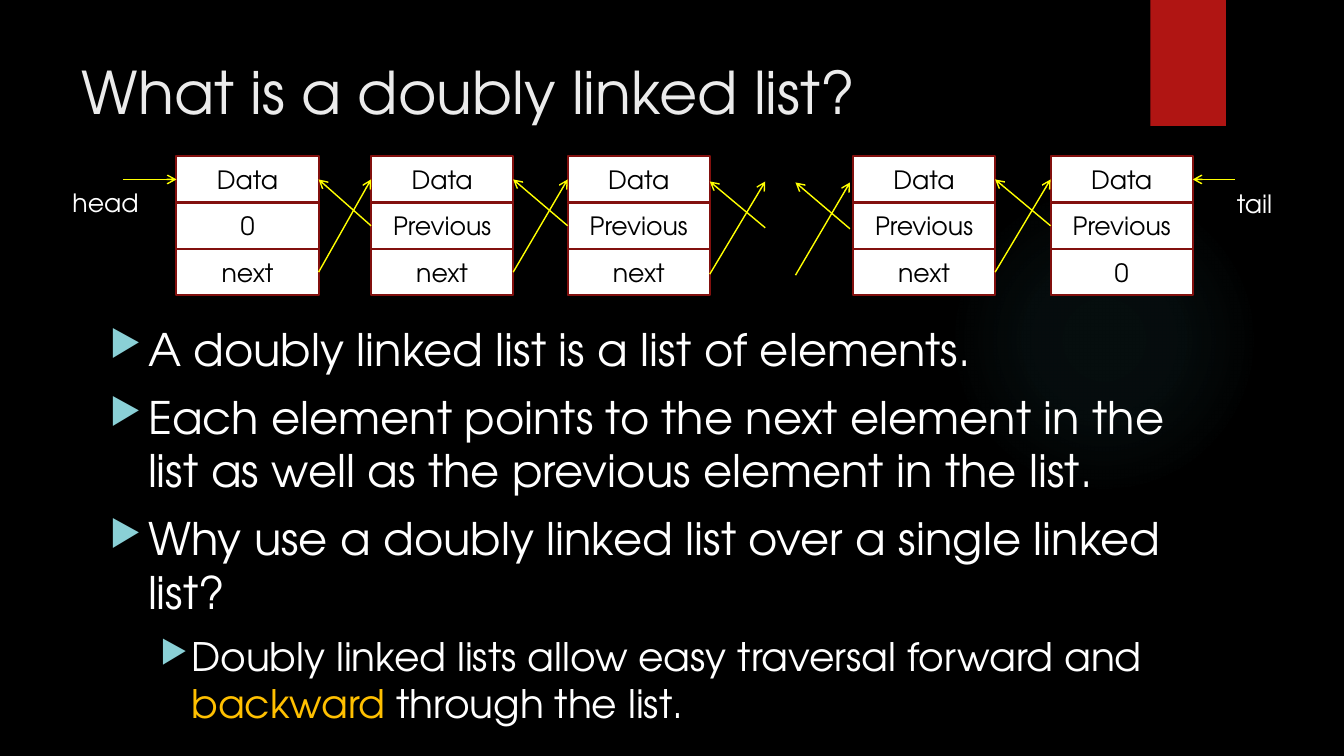
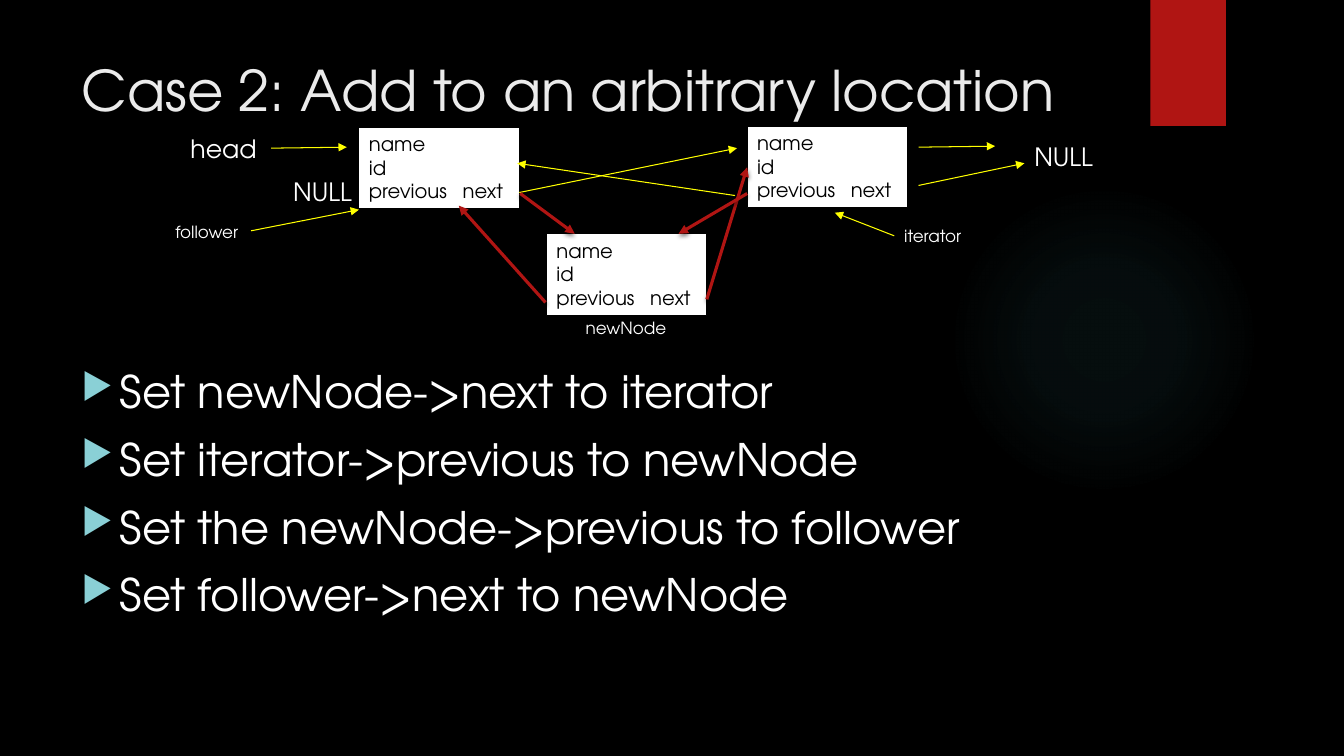
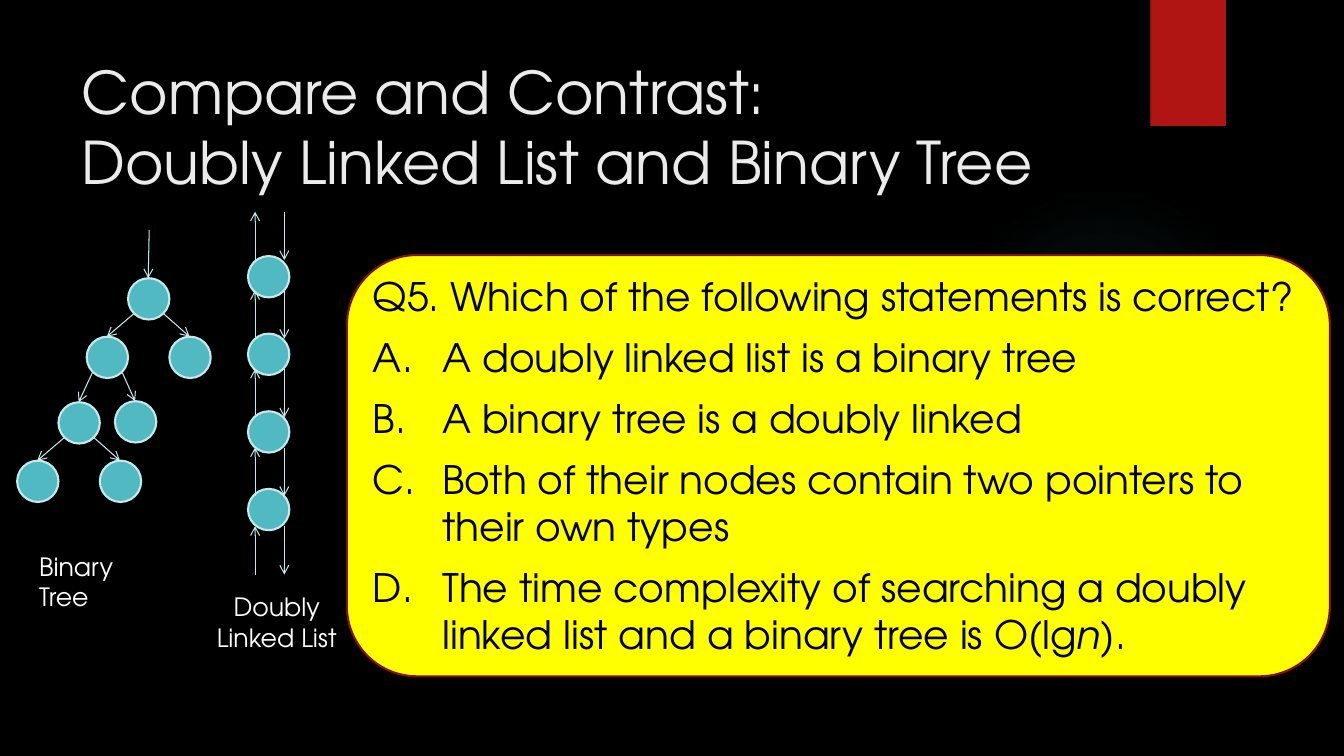
from dataclasses import dataclass

import pptx
import pptx.dml.color
import pptx.enum.dml
import pptx.enum.shapes
import pptx.enum.text
import pptx.oxml
import pptx.oxml.ns
import pptx.util
from lxml import etree

Inches = pptx.util.Inches
Pt = pptx.util.Pt
SHAPE = pptx.enum.shapes.MSO_SHAPE
ALIGN = pptx.enum.text.PP_ALIGN
ANCHOR = pptx.enum.text.MSO_ANCHOR
qn = pptx.oxml.ns.qn


@dataclass(frozen=True)
class Theme:
    font: str = "TeX Gyre Adventor"
    black: str = "000000"
    white: str = "FFFFFF"
    title: str = "EBEBEB"
    red: str = "B01513"
    dark_red: str = "82100E"
    yellow: str = "FFFF00"
    gold: str = "FFC000"
    teal: str = "50B9C1"
    pale_teal: str = "C5E8EA"
    bullet: str = "8AD0D6"
    title_size: int = 42
    long_title_size: int = 40
    body_size: int = 32
    sub_size: int = 28
    label_size: int = 18
    node_size: int = 14
    caption_size: int = 12


THEME = Theme()


def rgb(value):
    return pptx.dml.color.RGBColor.from_string(value)


def set_font(font, size, color):
    font.name = THEME.font
    font.size = Pt(size)
    font.color.rgb = rgb(color)


def child(parent, tag, **attributes):
    return etree.SubElement(parent, qn(tag), attributes)


def add_box(slide, kind, left, top, width, height, fill, line=None, line_width=1.5):
    box = slide.shapes.add_shape(kind, Inches(left), Inches(top), Inches(width), Inches(height))
    box.shadow.inherit = False
    box.fill.solid()
    box.fill.fore_color.rgb = rgb(fill)
    if line:
        box.line.color.rgb = rgb(line)
        box.line.width = Pt(line_width)
    else:
        box.line.fill.background()
    return box


def add_text(slide, left, top, width, height):
    frame = slide.shapes.add_textbox(
        Inches(left), Inches(top), Inches(width), Inches(height)).text_frame
    frame.word_wrap = True
    return frame


def add_label(slide, text, left, top, width, size=THEME.label_size, align=ALIGN.LEFT):
    frame = add_text(slide, left, top, width, 0.4)
    frame.text = text
    frame.paragraphs[0].alignment = align
    set_font(frame.paragraphs[0].font, size, THEME.white)


def add_arrow(slide, start, end, color, width=0.75, head="triangle", shadow=False):
    arrow = slide.shapes.add_connector(
        pptx.enum.shapes.MSO_CONNECTOR.STRAIGHT, *map(Inches, start + end))
    arrow.line.color.rgb = rgb(color)
    arrow.line.width = Pt(width)
    child(arrow.line._get_or_add_ln(), "a:tailEnd", type=head)
    effects = child(arrow._element.spPr, "a:effectLst")
    if shadow:
        outer = child(effects, "a:outerShdw", blurRad=str(Pt(3)), dist=str(Pt(2)),
                      dir="5400000", rotWithShape="0")
        child(child(outer, "a:srgbClr", val=THEME.black), "a:alpha", val="45000")


def add_glow(slide):
    glow = add_box(slide, SHAPE.OVAL, 9.41, 1.83, 3.08, 3.08, THEME.teal)
    gradient = etree.Element(qn("a:gradFill"), rotWithShape="1")
    stops = child(gradient, "a:gsLst")
    for position, opacity in ((0, 7), (36, 6), (69, 0), (100, 0)):
        stop = child(stops, "a:gs", pos=str(position * 1000))
        color = child(stop, "a:srgbClr", val=THEME.teal)
        child(color, "a:alpha", val=str(opacity * 1000))
    circle = child(gradient, "a:path", path="circle")
    child(circle, "a:fillToRect", l="50000", t="50000", r="50000", b="50000")
    properties = glow._element.spPr
    properties.replace(properties.find(qn("a:solidFill")), gradient)


def add_slide(prs, title, size=THEME.title_size):
    """Add a slide with the shared glow, red band and title."""
    slide = prs.slides.add_slide(prs.slide_layouts[5])
    add_glow(slide)
    add_box(slide, SHAPE.RECTANGLE, 11.41, 0, 0.75, 1.25, THEME.red)
    heading = slide.shapes.title
    heading.left, heading.top = Inches(0.71), Inches(0.5)
    heading.width, heading.height = Inches(10.29), Inches(1.16)
    frame = heading.text_frame
    frame.text = title
    frame.vertical_anchor = ANCHOR.TOP
    frame.auto_size = pptx.enum.text.MSO_AUTO_SIZE.NONE
    frame.paragraphs[0].alignment = ALIGN.LEFT
    set_font(frame.paragraphs[0].font, size, THEME.title)
    return slide


def set_indent(paragraph, indent, hanging):
    properties = paragraph._p.get_or_add_pPr()
    properties.set("marL", str(Inches(indent)))
    properties.set("indent", str(-Inches(hanging)))
    return properties


def add_item(frame, text, size, color=THEME.white):
    """Append a paragraph, using the empty first one when it is free."""
    paragraph = frame.paragraphs[0]
    if paragraph.runs:
        paragraph = frame.add_paragraph()
    paragraph.add_run().text = text
    paragraph.space_before = Pt(10)
    set_font(paragraph.font, size, color)
    return paragraph


def insert_marks(properties, *marks):
    """Put bullet elements just before the paragraph's default font."""
    font = properties.find(qn("a:defRPr"))
    for tag, attributes in marks:
        font.addprevious(etree.Element(qn(tag), attributes))


def add_bullet(frame, text, level=0):
    size = (THEME.body_size, THEME.sub_size)[level]
    indent, hanging = ((0.38, 0.38), (0.81, 0.31))[level]
    paragraph = add_item(frame, text, size)
    paragraph.level = level
    properties = set_indent(paragraph, indent, hanging)
    insert_marks(properties, ("a:buClr", {}), ("a:buSzPct", {"val": "80000"}),
                 ("a:buChar", {"char": "▶"}))
    child(properties.find(qn("a:buClr")), "a:srgbClr", val=THEME.bullet)
    return paragraph


def add_answer(frame, text):
    paragraph = add_item(frame, text, THEME.sub_size, THEME.black)
    insert_marks(set_indent(paragraph, 0.69, 0.69),
                 ("a:buFont", {"typeface": "+mj-lt"}),
                 ("a:buAutoNum", {"type": "alphaUcPeriod"}))
    return paragraph


def add_chain(slide):
    """Draw the list nodes with their crossing next and previous arrows."""
    top, width, row = 1.55, 1.41, 0.46
    data_y, previous_y, next_y = (top + row * (i + 0.5) for i in range(3))
    lefts = (1.75, 3.68, 5.63, 8.46, 10.42)
    last = len(lefts) - 1
    for i, left in enumerate(lefts):
        fields = ("Data", "Previous" if i else "0", "next" if i < last else "0")
        for j, field in enumerate(fields):
            cell = add_box(slide, SHAPE.RECTANGLE, left, top + j * row, width, row,
                           THEME.white, THEME.dark_red)
            cell.text_frame.text = field
            cell.text_frame.vertical_anchor = ANCHOR.MIDDLE
            cell.text_frame.paragraphs[0].alignment = ALIGN.CENTER
            set_font(cell.text_frame.paragraphs[0].font, THEME.label_size, THEME.black)

    gaps = [(a + width, b, 0) for a, b in zip(lefts, lefts[1:])]
    break_start, break_end, _ = gaps[2]
    gaps[2:3] = [(break_start, break_start + 0.55, 0.02),
                 (break_end - 0.57, break_end - 0.03, 0.03)]
    arrows = [((1.22, data_y), (lefts[0], data_y)),
              ((12.25, data_y), (lefts[-1] + width, data_y))]
    for left, right, drop in gaps:
        arrows.append(((left, next_y + drop), (right, data_y + drop)))
        arrows.append(((right, previous_y + drop), (left, data_y + drop)))
    for start, end in arrows:
        add_arrow(slide, start, end, THEME.yellow, 1, "arrow")
    add_label(slide, "head", 0.62, 1.81, 1)
    add_label(slide, "tail", 12.17, 1.82, 0.8)


def add_record(slide, left, top):
    """Draw a node that lists its name, id and two pointers."""
    record = add_box(slide, SHAPE.RECTANGLE, left, top, 1.59, 0.81,
                     THEME.white, THEME.black, 0.75)
    frame = record.text_frame
    frame.vertical_anchor = ANCHOR.TOP
    frame.text = "name\nid\nprevious\tnext"
    for paragraph in frame.paragraphs:
        paragraph.alignment = ALIGN.LEFT
        tabs = child(paragraph._p.get_or_add_pPr(), "a:tabLst")
        child(tabs, "a:tab", pos=str(Inches(0.93)), algn="l")
        set_font(paragraph.font, THEME.node_size, THEME.black)


def add_circles(slide, positions):
    for left, top in positions:
        add_box(slide, SHAPE.OVAL, left, top, 0.41, 0.41, THEME.teal, THEME.pale_teal)


def add_thin_arrow(slide, start, end):
    add_arrow(slide, start, end, THEME.pale_teal, head="arrow")


def add_tree(slide):
    nodes = ((1.27, 2.76), (0.86, 3.34), (1.68, 3.34), (0.58, 3.99),
             (1.14, 3.98), (0.17, 4.57), (0.99, 4.57))
    children = {0: (1, 2), 1: (3, 4), 3: (5, 6)}
    add_circles(slide, nodes)
    add_thin_arrow(slide, (1.48, 2.28), (1.47, 2.76))
    for parent, pair in children.items():
        left, top = nodes[parent]
        for side, leaf in zip((0.06, 0.35), pair):
            leaf_left, leaf_top = nodes[leaf]
            add_thin_arrow(slide, (left + side, top + 0.35), (leaf_left + 0.2, leaf_top))
    add_label(slide, "Binary Tree", 0.29, 5.42, 1.1)


def add_vertical_list(slide):
    add_circles(slide, [(2.46, 2.54 + 0.77 * i) for i in range(4)])
    for i in range(5):
        top = 2.1 + 0.78 * i
        bottom = top + 0.48
        add_thin_arrow(slide, (2.53, bottom), (2.53, top))
        add_thin_arrow(slide, (2.82, top), (2.82, bottom))
    add_label(slide, "Doubly Linked List", 2.01, 5.82, 1.47, align=ALIGN.CENTER)


def build_definition(prs):
    slide = add_slide(prs, "What is a doubly linked list?")
    body = add_text(slide, 0.99, 3.14, 10.77, 4.26)
    for text in (
        "A doubly linked list is a list of elements.",
        "Each element points to the next element in the list as well as "
        "the previous element in the list.",
        "Why use a doubly linked list over a single linked list?",
    ):
        add_bullet(body, text)
    reason = add_bullet(body, "Doubly linked lists allow easy traversal forward and ", 1)
    keyword = reason.add_run()
    keyword.text = "backward"
    keyword.font.color.rgb = rgb(THEME.gold)
    reason.add_run().text = " through the list."
    add_chain(slide)


def build_insertion(prs):
    slide = add_slide(prs, "Case 2: Add to an arbitrary location", THEME.long_title_size)
    body = add_text(slide, 0.71, 3.56, 10.28, 3.28)
    for text in ("Set newNode->next to iterator", "Set iterator->previous to newNode",
                 "Set the newNode->previous to follower", "Set follower->next to newNode"):
        add_bullet(body, text)
    for left, top in ((3.56, 1.26), (7.41, 1.25), (5.42, 2.32)):
        add_record(slide, left, top)
    for text, left, top in (("head", 1.79, 1.27), ("NULL", 10.16, 1.35), ("NULL", 2.81, 1.7)):
        add_label(slide, text, left, top, 0.92)
    for text, left, top in (("newNode", 5.71, 3.1), ("follower", 1.64, 2.15),
                            ("iterator", 8.87, 2.19)):
        add_label(slide, text, left, top, 1.23, THEME.caption_size)
    existing_links = (
        ((2.69, 1.47), (3.44, 1.46)), ((5.15, 1.91), (7.31, 1.47)),
        ((9.11, 1.46), (9.87, 1.45)), ((7.29, 1.94), (5.13, 1.62)),
        ((9.11, 1.84), (10.16, 1.62)), ((2.49, 2.29), (3.56, 2.08)),
        ((8.87, 2.34), (8.28, 2.11)))
    new_links = (
        ((7.01, 2.97), (7.41, 1.66)), ((7.41, 1.92), (6.73, 2.32)),
        ((5.41, 3), (4.55, 2.04)), ((5.16, 1.92), (5.7, 2.32)))
    for start, end in existing_links:
        add_arrow(slide, start, end, THEME.yellow)
    for start, end in new_links:
        add_arrow(slide, start, end, THEME.red, 2.25, shadow=True)


def build_comparison(prs):
    slide = add_slide(prs, "Compare and Contrast:\vDoubly Linked List and Binary Tree")
    add_box(slide, SHAPE.ROUNDED_RECTANGLE, 3.44, 2.53, 9.75, 4.18,
            THEME.yellow, THEME.dark_red)
    quiz = add_text(slide, 3.6, 2.65, 9.59, 4.32)
    add_item(quiz, "Q5. Which of the following statements is correct?",
             THEME.sub_size, THEME.black)
    for text in ("A doubly linked list is a binary tree", "A binary tree is a doubly linked",
                 "Both of their nodes contain two pointers to their own types"):
        add_answer(quiz, text)
    complexity = add_answer(
        quiz, "The time complexity of searching a doubly linked list and a binary tree is O(lg")
    variable = complexity.add_run()
    variable.text = "n"
    variable.font.italic = True
    complexity.add_run().text = ")."
    add_tree(slide)
    add_vertical_list(slide)


def main():
    prs = pptx.Presentation()
    prs.slide_width, prs.slide_height = Inches(13.33), Inches(7.5)
    background = prs.slide_master.background.fill
    background.solid()
    background.fore_color.rgb = rgb(THEME.black)
    build_definition(prs)
    build_insertion(prs)
    build_comparison(prs)
    prs.save("out.pptx")


if __name__ == "__main__":
    main()
